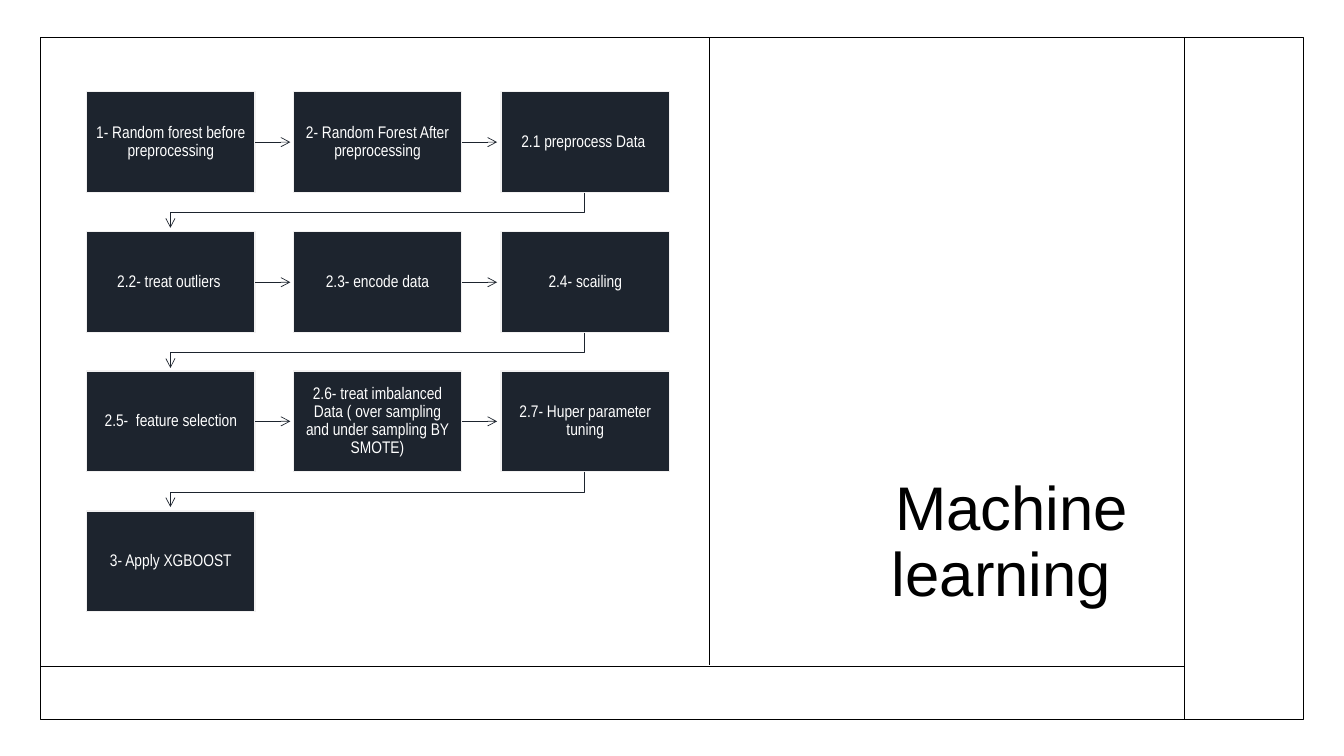
from typing import NamedTuple

from lxml.etree import SubElement
from pptx import Presentation
from pptx.dml.color import RGBColor
from pptx.enum.shapes import MSO_CONNECTOR, MSO_SHAPE
from pptx.enum.text import MSO_ANCHOR, PP_ALIGN
from pptx.oxml.ns import qn
from pptx.shapes.autoshape import Shape
from pptx.shapes.connector import Connector
from pptx.slide import Slide
from pptx.text.text import TextFrame
from pptx.util import Emu, Pt

PX = 9144
BLACK, NAVY, PALE, WHITE = "000000", "1D242E", "F2F1F1", "FFFFFF"
COLUMNS = 3
BOX_WIDTH, BOX_HEIGHT = 167, 100
ARROW_LENGTH, TURN_DROP, ELBOW_DROP = 35, 20, 35

STEPS = [
    "1- Random forest before preprocessing",
    "2- Random Forest After preprocessing",
    "2.1 preprocess Data ",
    "2.2- treat outliers ",
    "2.3- encode data",
    "2.4- scailing",
    "2.5-  feature selection",
    "2.6- treat imbalanced Data ( over sampling and under sampling BY SMOTE)",
    "2.7- Huper parameter tuning",
    "3- Apply XGBOOST",
]


class Area(NamedTuple):
    """A rectangle in px."""

    left: int
    top: int
    width: int
    height: int


class Rule(NamedTuple):
    """A straight line in px."""

    x1: int
    y1: int
    x2: int
    y2: int


FRAME = Area(40, 37, 1253, 677)
TITLE = Area(744, 90, 385, 520)
DIVIDERS = [
    Rule(704, 37, 704, 660),
    Rule(41, 661, 1175, 661),
    Rule(1175, 37, 1175, 713),
]


def px(length: int) -> Emu:
    """Turn px into EMU."""
    return Emu(length * PX)


def color(value: str) -> RGBColor:
    """Turn a hex string into a colour."""
    return RGBColor.from_string(value)


def set_line(shape: Shape | Connector, value: str, points: float) -> None:
    """Set the colour and width of an outline or line."""
    shape.line.color.rgb = color(value)
    shape.line.width = Pt(points)


def add_arrowhead(shape: Shape | Connector) -> None:
    """Put an open arrowhead at the end of a line."""
    SubElement(shape.line._get_or_add_ln(), qn("a:tailEnd"), type="arrow")


def add_line(page: Slide, rule: Rule, value: str, points: float) -> Connector:
    """Draw a straight line without shadow."""
    line = page.shapes.add_connector(MSO_CONNECTOR.STRAIGHT, *map(px, rule))
    set_line(line, value, points)
    SubElement(line._element.spPr, qn("a:effectLst"))
    return line


def add_rectangle(page: Slide, area: Area, fill: str | None, line: str) -> Shape:
    """Draw a rectangle with an optional fill."""
    box = page.shapes.add_shape(MSO_SHAPE.RECTANGLE, *map(px, area))
    box.shadow.inherit = False
    if fill:
        box.fill.solid()
        box.fill.fore_color.rgb = color(fill)
    else:
        box.fill.background()
    set_line(box, line, 1)
    return box


def write(frame: TextFrame, text: str, font: str, size: int, value: str, align: PP_ALIGN) -> None:
    """Write one wrapped paragraph."""
    frame.word_wrap = True
    para = frame.paragraphs[0]
    para.alignment = align
    para.line_spacing = 0.9
    span = para.add_run()
    span.text = text
    span.font.name = font
    span.font.size = Pt(size)
    span.font.color.rgb = color(value)


def step_area(index: int) -> Area:
    """Find the grid cell of a step."""
    row, column = divmod(index, COLUMNS)
    return Area(86 + column * 411 // 2, 91 + round(row * 416 / 3), BOX_WIDTH, BOX_HEIGHT)


def add_step(page: Slide, area: Area, text: str) -> Shape:
    """Draw one step box."""
    box = add_rectangle(page, area, NAVY, PALE)
    frame = box.text_frame
    frame.margin_left = frame.margin_right = px(8)
    frame.margin_top = frame.margin_bottom = px(9)
    frame.vertical_anchor = MSO_ANCHOR.MIDDLE
    write(frame, text, "Arial Narrow", 12, WHITE, PP_ALIGN.CENTER)
    return box


def add_arrow(page: Slide, box: Shape, area: Area) -> None:
    """Point from a step to the next one in its row."""
    x, y = area.left + area.width, area.top + area.height // 2
    arrow = add_line(page, Rule(x, y, x + ARROW_LENGTH, y), NAVY, 0.5)
    arrow.begin_connect(box, 3)
    add_arrowhead(arrow)


def add_elbow(page: Slide, area: Area) -> None:
    """Point from the end of a row to the start of the next."""
    start_x = area.left + area.width // 2
    end_x = step_area(0).left + area.width // 2
    bottom = area.top + area.height
    turn = bottom + TURN_DROP
    builder = page.shapes.build_freeform(start_x, bottom, scale=PX)
    points = [(start_x, turn), (end_x, turn), (end_x, bottom + ELBOW_DROP)]
    builder.add_line_segments(points, close=False)
    elbow = builder.convert_to_shape()
    elbow.shadow.inherit = False
    elbow.fill.background()
    set_line(elbow, NAVY, 0.5)
    add_arrowhead(elbow)


def add_title(page: Slide) -> None:
    """Write the slide title."""
    frame = page.shapes.add_textbox(*map(px, TITLE)).text_frame
    frame.vertical_anchor = MSO_ANCHOR.BOTTOM
    write(frame, "Machine learning ", "Arial", 44, BLACK, PP_ALIGN.RIGHT)


def main() -> None:
    """Build and save the deck."""
    deck = Presentation()
    deck.slide_width, deck.slide_height = px(1333), px(750)
    page = deck.slides.add_slide(deck.slide_layouts[6])
    add_rectangle(page, FRAME, None, BLACK)
    add_title(page)
    for divider in DIVIDERS:
        add_line(page, divider, BLACK, 1)
    for index, text in enumerate(STEPS):
        area = step_area(index)
        box = add_step(page, area, text)
        if index == len(STEPS) - 1:
            continue
        if index % COLUMNS == COLUMNS - 1:
            add_elbow(page, area)
        else:
            add_arrow(page, box, area)
    deck.save("out.pptx")


if __name__ == "__main__":
    main()
